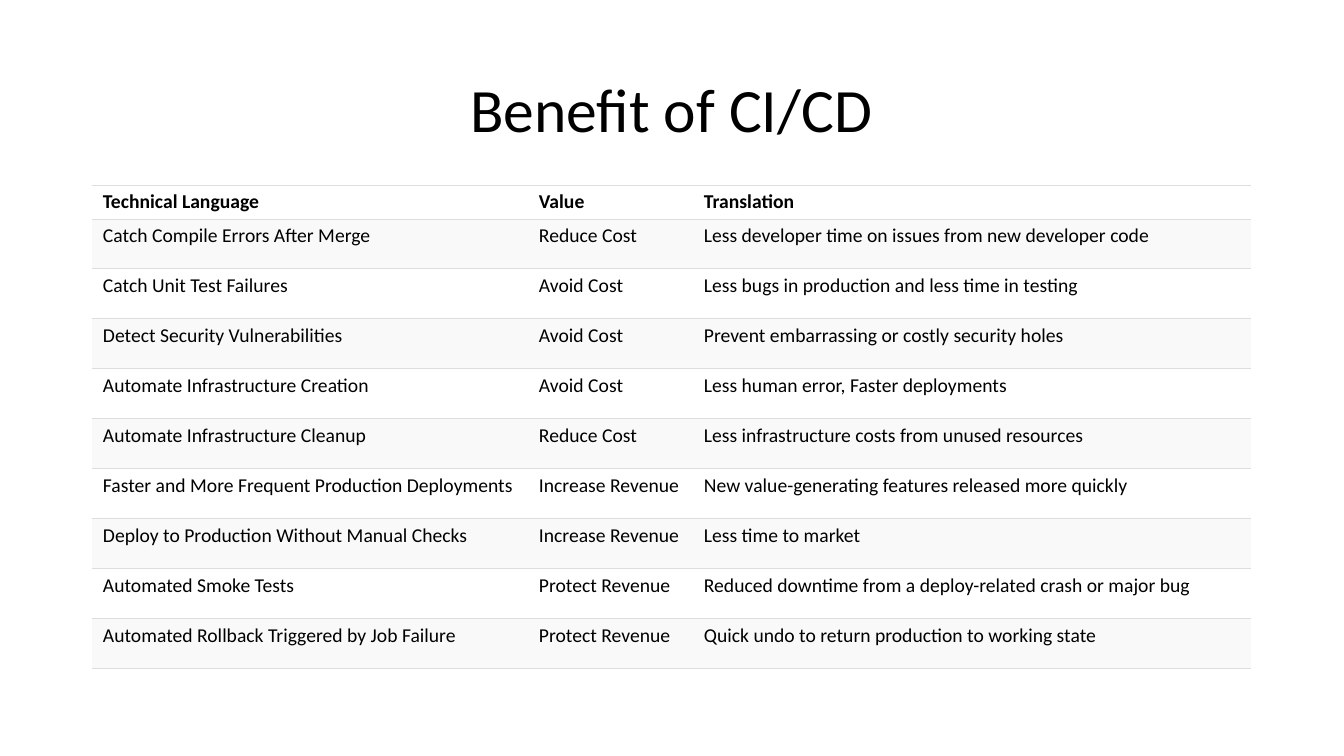
from lxml.etree import SubElement
from pptx import Presentation
from pptx.dml.color import RGBColor
from pptx.enum.text import MSO_ANCHOR as ANCHOR, PP_ALIGN as ALIGN
from pptx.oxml.ns import qn
from pptx.util import Pt

EMU_PER_INCH, PX_PER_INCH = 914400, 100.8
FONT = "Calibri"
COLORS = {"text": "000000", "plain": "FFFFFF", "band": "F9F9F9", "rule": "DDDDDD"}
COL_WIDTHS = (436, 165, 558)
HEADER_HEIGHT, ROW_HEIGHT = 34, 50
BENEFITS = [
    ("Technical Language", "Value", "Translation"),
    ("Catch Compile Errors After Merge", "Reduce Cost",
     "Less developer time on issues from new developer code"),
    ("Catch Unit Test Failures", "Avoid Cost",
     "Less bugs in production and less time in testing"),
    ("Detect Security Vulnerabilities", "Avoid Cost",
     "Prevent embarrassing or costly security holes"),
    ("Automate Infrastructure Creation", "Avoid Cost",
     "Less human error, Faster deployments"),
    ("Automate Infrastructure Cleanup", "Reduce Cost",
     "Less infrastructure costs from unused resources"),
    ("Faster and More Frequent Production Deployments", "Increase Revenue",
     "New value-generating features released more quickly"),
    ("Deploy to Production Without Manual Checks", "Increase Revenue",
     "Less time to market"),
    ("Automated Smoke Tests", "Protect Revenue",
     "Reduced downtime from a deploy-related crash or major bug"),
    ("Automated Rollback Triggered by Job Failure", "Protect Revenue",
     "Quick undo to return production to working state"),
]


def px(n):
    return round(n * EMU_PER_INCH / PX_PER_INCH)


def color(name):
    return RGBColor.from_string(COLORS[name])


def style_text(p, size, bold=False):
    for r in p.runs:
        r.font.name = FONT
        r.font.size = Pt(size)
        r.font.bold = bold
        r.font.color.rgb = color("text")


def add_title(slide, text, left, top, width, height):
    sp = slide.shapes.title
    sp.left, sp.top, sp.width, sp.height = map(px, (left, top, width, height))
    tf = sp.text_frame
    tf.text = text
    tf.vertical_anchor = ANCHOR.MIDDLE
    p = tf.paragraphs[0]
    p.alignment = ALIGN.CENTER
    p.line_spacing = 0.9
    style_text(p, 44)


def rule_cell(cell):
    """Draw thin rules above and below the cell and none at its sides."""
    tc_pr = cell._tc.get_or_add_tcPr()
    for side in ("L", "R"):
        ln = SubElement(tc_pr, qn(f"a:ln{side}"), w="0")
        SubElement(ln, qn("a:noFill"))
    for side in ("T", "B"):
        ln = SubElement(tc_pr, qn(f"a:ln{side}"), w=str(Pt(0.75)))
        fill = SubElement(ln, qn("a:solidFill"))
        SubElement(fill, qn("a:srgbClr"), val=COLORS["rule"])


def fill_cell(cell, text, row):
    is_header = row == 0
    rule_cell(cell)
    cell.fill.solid()
    cell.fill.fore_color.rgb = color("band" if row % 2 else "plain")
    cell.margin_left = cell.margin_right = px(11)
    cell.margin_top = cell.margin_bottom = px(5)
    cell.vertical_anchor = ANCHOR.BOTTOM if is_header else ANCHOR.TOP
    cell.text = text
    style_text(cell.text_frame.paragraphs[0], 14, is_header)


def add_benefits(slide, left, top):
    heights = [HEADER_HEIGHT] + [ROW_HEIGHT] * (len(BENEFITS) - 1)
    frame = slide.shapes.add_table(
        len(BENEFITS), len(COL_WIDTHS), px(left), px(top),
        px(sum(COL_WIDTHS)), px(sum(heights)))
    table = frame.table
    table.first_row = table.horz_banding = False
    for col, width in zip(table.columns, COL_WIDTHS):
        col.width = px(width)
    for i, (height, texts) in enumerate(zip(heights, BENEFITS)):
        table.rows[i].height = px(height)
        for j, text in enumerate(texts):
            fill_cell(table.cell(i, j), text, i)


def main():
    prs = Presentation()
    prs.slide_width, prs.slide_height = px(1344), px(756)
    slide = prs.slides.add_slide(prs.slide_layouts[5])
    add_title(slide, "Benefit of CI/CD", 92, 40, 1159, 146)
    add_benefits(slide, 92, 185)
    prs.save("out.pptx")


if __name__ == "__main__":
    main()
